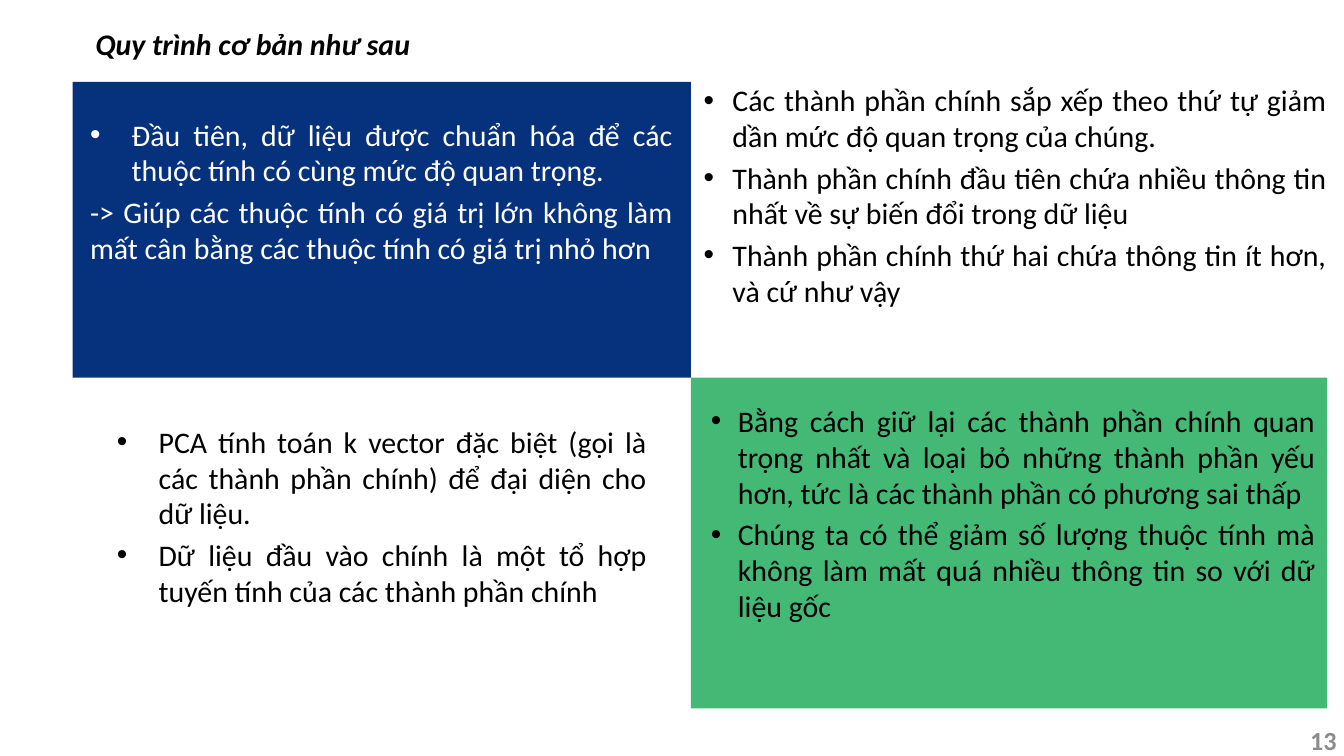
from lxml.etree import SubElement
from pptx import Presentation
from pptx.dml.color import RGBColor
from pptx.enum.shapes import MSO_SHAPE as Shape
from pptx.enum.text import MSO_ANCHOR as Anchor, PP_ALIGN as Align
from pptx.oxml.ns import qn
from pptx.util import Inches, Pt

NAVY = RGBColor(0x06, 0x32, 0x7D)
GREEN = RGBColor(0x44, 0xB8, 0x75)
WHITE = RGBColor(0xFF, 0xFF, 0xFF)
BLACK = RGBColor(0, 0, 0)
GRAY = RGBColor(0x8C, 0x8C, 0x8C)

# Edges shared by the two coloured panels
LEFT, MIDDLE, RIGHT = 1.08, 10.28, 19.75
TOP, CENTER, BOTTOM = 1.22, 5.62, 10.54


class SlideBuilder:
    font = "Calibri"
    size = 32

    def __init__(self, page):
        self.page = page

    def panel(self, left, top, right, bottom, color):
        panel = self.page.shapes.add_shape(
            Shape.RECTANGLE, Inches(left), Inches(top),
            Inches(right - left), Inches(bottom - top))
        panel.shadow.inherit = False
        panel.fill.solid()
        panel.fill.fore_color.rgb = color
        panel.line.fill.background()

    def text_box(self, left, top, width, height):
        box = self.page.shapes.add_textbox(
            Inches(left), Inches(top), Inches(width), Inches(height))
        box.text_frame.word_wrap = True
        return box.text_frame

    def add_span(self, para, text, color, size=None, bold=False, italic=False):
        span = para.add_run()
        span.text = text
        span.font.name = self.font
        span.font.size = Pt(size or self.size)
        span.font.color.rgb = color
        span.font.bold = bold
        span.font.italic = italic

    def add_bullet(self, para, margin, hanging):
        properties = para._p.get_or_add_pPr()
        properties.set("marL", str(Inches(margin)))
        properties.set("indent", str(-Inches(hanging)))
        SubElement(properties, qn("a:buFont")).set("typeface", "Arial")
        SubElement(properties, qn("a:buChar")).set("char", "•")

    def body(self, left, top, width, height, bullets, color=BLACK,
             margin=0.62, hanging=0.62, conclusion=None):
        """Justified bullets, with an optional plain paragraph after them."""
        frame = self.text_box(left, top, width, height)
        frame.margin_left = frame.margin_right = 0
        frame.margin_top = frame.margin_bottom = 0
        texts = bullets + ([conclusion] if conclusion else [])
        for index, text in enumerate(texts):
            para = frame.add_paragraph() if index else frame.paragraphs[0]
            para.alignment = Align.JUSTIFY
            para.space_before = Pt(6)
            if index < len(bullets):
                self.add_bullet(para, margin, hanging)
            self.add_span(para, text, color)

    def title(self, text):
        frame = self.text_box(1.32, 0.33, 7.26, 0.64)
        self.add_span(frame.paragraphs[0], text, BLACK, bold=True, italic=True)

    def page_number(self, text):
        frame = self.text_box(17.66, 10.82, 2.33, 0.4)
        frame.vertical_anchor = Anchor.MIDDLE
        para = frame.paragraphs[0]
        para.alignment = Align.RIGHT
        self.add_span(para, text, GRAY, size=28, bold=True)


def main():
    deck = Presentation()
    deck.slide_width = Inches(20)
    deck.slide_height = Inches(11.25)
    slide = SlideBuilder(deck.slides.add_slide(deck.slide_layouts[6]))

    slide.panel(LEFT, TOP, MIDDLE, CENTER, NAVY)
    slide.panel(MIDDLE, CENTER, RIGHT, BOTTOM, GREEN)

    slide.body(1.34, 1.73, 8.68, 3.32, [
        "Đầu tiên, dữ liệu được chuẩn hóa để các thuộc tính có cùng mức độ "
        "quan trọng.",
    ], color=WHITE, conclusion=(
        "-> Giúp các thuộc tính có giá trị lớn không làm mất cân bằng các "
        "thuộc tính có giá trị nhỏ hơn"))
    slide.body(1.74, 6.3, 7.89, 2.78, [
        "PCA tính toán k vector đặc biệt (gọi là các thành phần chính) để "
        "đại diện cho dữ liệu.",
        "Dữ liệu đầu vào chính là một tổ hợp tuyến tính của các thành phần "
        "chính",
    ])
    slide.body(MIDDLE, TOP, RIGHT - MIDDLE, 3.4, [
        "Các thành phần chính sắp xếp theo thứ tự giảm dần mức độ quan trọng "
        "của chúng.",
        "Thành phần chính đầu tiên chứa nhiều thông tin nhất về sự biến đổi "
        "trong dữ liệu",
        "Thành phần chính thứ hai chứa thông tin ít hơn, và cứ như vậy",
    ], hanging=0.43)
    slide.body(10.58, 5.99, 9, 3.85, [
        "Bằng cách giữ lại các thành phần chính quan trọng nhất và loại bỏ "
        "những thành phần yếu hơn, tức là các thành phần có phương sai thấp",
        "Chúng ta có thể giảm số lượng thuộc tính mà không làm mất quá nhiều "
        "thông tin so với dữ liệu gốc",
    ], margin=0.4, hanging=0.4)

    slide.title("Quy trình cơ bản như sau")
    slide.page_number("13")
    deck.save("out.pptx")


if __name__ == "__main__":
    main()
